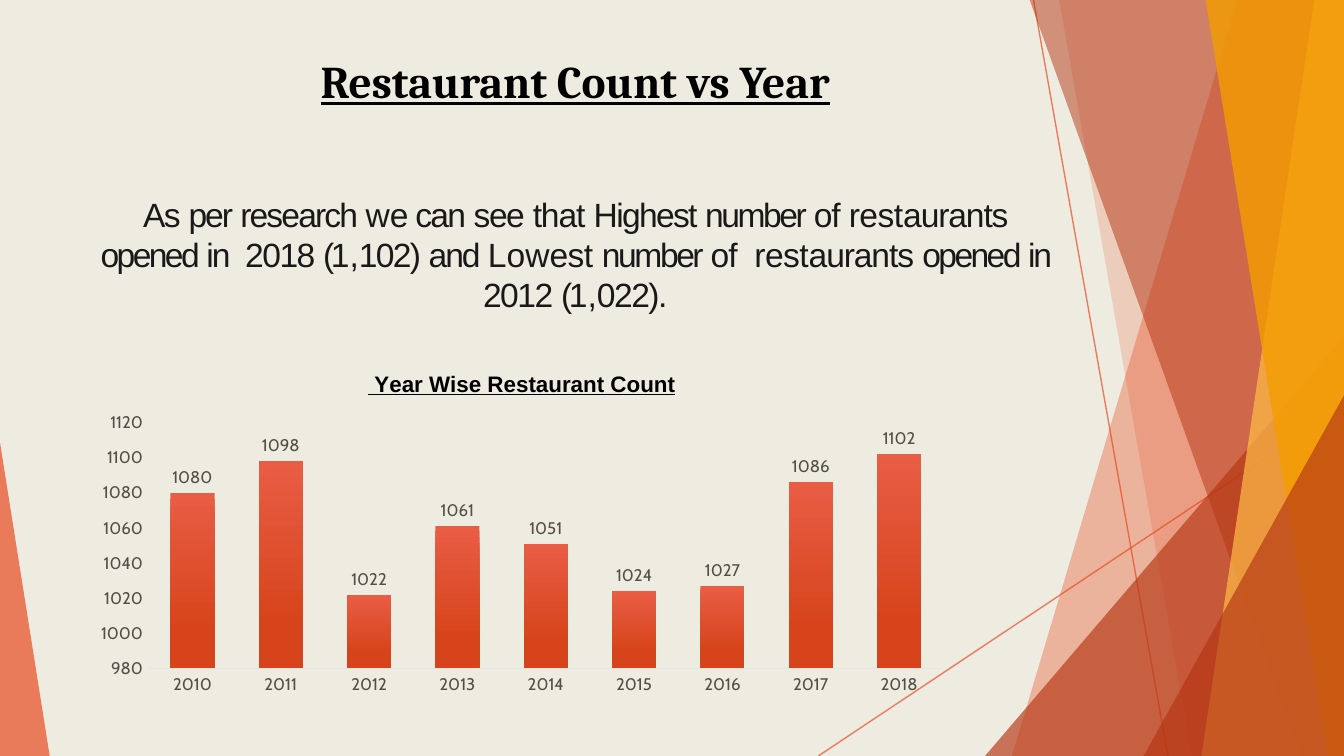
from lxml.etree import SubElement
from pptx import Presentation
from pptx.chart.data import CategoryChartData
from pptx.dml.color import RGBColor as RGB
from pptx.enum.chart import XL_CHART_TYPE as CHART, XL_LABEL_POSITION as LABEL, XL_TICK_MARK as TICK
from pptx.enum.shapes import MSO_CONNECTOR as LINK, MSO_SHAPE as SHAPE
from pptx.enum.text import MSO_ANCHOR as ANCHOR, PP_ALIGN as ALIGN
from pptx.oxml import parse_xml
from pptx.oxml.ns import nsdecls, qn
from pptx.util import Inches, Pt

THEME = {
    "paper": "EEECE1", "ember": "E84C22", "rust": "B53513", "sand": "FFBD47",
    "amber": "F49D00", "bar_top": "E95D45", "bar_base": "D7441C", "axis": "E6E6E2",
    "heading": dict(name="Cambria", size=Pt(24.3), bold=True, underline=True, color="000000"),
    "body": dict(name="Arial", size=Pt(18), bold=False, underline=False, color="191919"),
    "chart_title": dict(name="Arial", size=Pt(12), bold=True, underline=True, color="000000"),
    "chart": dict(name="Cabin", size=Pt(10), color="000000"),
    "label": dict(name="Cabin", size=Pt(9), bold=False, color="505046"),
}


def set_font(font, color, **values):
    for key, value in values.items():
        setattr(font, key, value)
    font.color.rgb = RGB.from_string(color)


def paint(fmt, color, opacity, element):
    """Give a fill or line format a solid colour at a percentage of opacity."""
    fmt.solid()
    fmt.fore_color.rgb = RGB.from_string(THEME[color])
    for clr in element.spPr.iter(qn("a:srgbClr")):
        SubElement(clr, qn("a:alpha"), val=str(opacity * 1000))


deck = Presentation()
deck.slide_width, deck.slide_height = Inches(10), Inches(10) * 9 // 16
# Grid of 1000 columns by 1000 rows
COL, ROW = deck.slide_width // 1000, deck.slide_height // 1000
slide = deck.slides.add_slide(deck.slide_layouts[6])
slide.background.fill.solid()
slide.background.fill.fore_color.rgb = RGB.from_string(THEME["paper"])
shapes = slide.shapes

# Thin rays behind the facets
for x1, y1, x2, y2 in [(769, 0, 869, 1000), (1000, 537, 609, 1000)]:
    ray = shapes.add_connector(LINK.STRAIGHT, x1 * COL, y1 * ROW, x2 * COL, y2 * ROW)
    ray.line.width = Pt(0.75)
    paint(ray.line.fill, "ember", 70, ray._element)
    SubElement(ray._element.spPr, qn("a:effectLst"))

# Bands run from a top and a bottom column to the right edge;
# wedges are left, top, width, height and apex side
facets = [
    ((921, 753), "ember", 36),
    ((788, 887), "ember", 20),
    ((733, 445, 267, 555, 1), "rust", 66),
    ((766, 968), "rust", 50),
    ((978, 894), "sand", 70),
    ((897, 988), "amber", 80),
    ((851, 523, 149, 477, 1), "rust", 66),
    ((0, 585, 37, 415, 0), "ember", 70),
]
for outline, color, opacity in facets:
    if len(outline) == 2:
        top, bottom = outline
        builder = shapes.build_freeform(top, -1, scale=(COL, ROW))
        builder.add_line_segments([(1000, -1), (1000, 1000), (bottom, 1000)])
        facet = builder.convert_to_shape()
    else:
        left, top, width, height, apex = outline
        facet = shapes.add_shape(SHAPE.ISOSCELES_TRIANGLE, left * COL, top * ROW,
                                 width * COL, height * ROW)
        facet.adjustments[0] = apex
    facet.shadow.inherit = False
    facet.line.fill.background()
    paint(facet.fill, color, opacity, facet._element)

# Heading and finding, with letter spacing in points for each piece
finding = [
    ("As ", -0.8), ("per ", -1.1), ("research ", -1), ("w", -1.1), ("e ", -1.4),
    ("can ", -0.9), ("see ", -0.8), ("that ", -0.6), ("Highest ", -0.9),
    ("number ", -1.3), ("of ", -0.6), ("rest", -0.3), ("aurants ", -0.6),
    ("opened ", -1.4), ("in  ", -1.1), ("2018 ", -0.8), ("(1", -1.9), (",", -2.1),
    ("102) ", -0.9), ("and ", -1.1), ("L", -0.9), ("o", -1.2), ("w", -1.1),
    ("est ", -0.3), ("number ", -1.3), ("of  ", -0.5), ("rest", -0.3),
    ("aurants ", -0.6), ("opened ", -1.4), ("in ", -1.2), ("2012 ", -0.8),
    ("(1", -1.9), (",", -1.8), ("022).", -0.8),
]
message = shapes.add_textbox(62 * COL, 53 * ROW, 732 * COL, 342 * ROW).text_frame
message.word_wrap = True
message.vertical_anchor = ANCHOR.TOP
for side in ("left", "top", "right", "bottom"):
    setattr(message, f"margin_{side}", Inches(0.1))
heading, body = message.paragraphs[0], message.add_paragraph()
heading.alignment = body.alignment = ALIGN.CENTER
heading.space_after = Pt(46)
title = heading.add_run()
title.text = "Restaurant Count vs Year"
set_font(title.font, **THEME["heading"])
for words, spacing in finding:
    piece = body.add_run()
    piece.text = words
    set_font(piece.font, **THEME["body"])
    piece._r.get_or_add_rPr().set("spc", str(round(spacing * 100)))

# Yearly counts
counts = CategoryChartData()
counts.categories = [str(year) for year in range(2010, 2019)]
counts.add_series("Series 1", (1080, 1098, 1022, 1061, 1051, 1024, 1027, 1086, 1102))
chart = shapes.add_chart(CHART.COLUMN_CLUSTERED, 62 * COL, 456 * ROW,
                         653 * COL, 473 * ROW, counts).chart
chart.has_legend = False
set_font(chart.font, **THEME["chart"])
caption = chart.chart_title.text_frame.paragraphs[0].add_run()
caption.text = " Year Wise Restaurant Count"
set_font(caption.font, **THEME["chart_title"])

years, scale = chart.category_axis, chart.value_axis
for axis in (years, scale):
    axis.has_major_gridlines = False
    axis.major_tick_mark = axis.minor_tick_mark = TICK.NONE
    set_font(axis.tick_labels.font, **THEME["label"])
years.format.line.width = Pt(0.75)
years.format.line.color.rgb = RGB.from_string(THEME["axis"])
scale.format.line.fill.background()
for key, value in dict(minimum_scale=980, maximum_scale=1120, major_unit=20).items():
    setattr(scale, key, value)

plot = chart.plots[0]
for key, value in dict(gap_width=100, overlap=-24, vary_by_categories=False,
                       has_data_labels=True).items():
    setattr(plot, key, value)
plot.data_labels.show_value = True
plot.data_labels.position = LABEL.OUTSIDE_END
set_font(plot.data_labels.font, **THEME["label"])
bars = plot.series[0].format.fill
bars.gradient()
bars.gradient_angle = 270
for stop, color, position in zip(bars.gradient_stops, ("bar_top", "bar_base"), (0, 0.78)):
    stop.color.rgb = RGB.from_string(THEME[color])
    stop.position = position

# Fixed places of the caption and the plot, in thousandths of the chart
plot_area = chart._chartSpace.chart.plotArea
placements = [
    (chart.chart_title._element, 1, dict(x=320, y=60)),
    (plot_area, 0, dict(x=74, y=217, w=906, h=689)),
]
for part, index, shares in placements:
    for old in part.findall(qn("c:layout")):
        part.remove(old)
    layout = parse_xml(f"<c:layout {nsdecls('c')}/>")
    manual = SubElement(layout, qn("c:manualLayout"))
    if part is plot_area:
        SubElement(manual, qn("c:layoutTarget"), val="inner")
    for mode in ("xMode", "yMode"):
        SubElement(manual, qn(f"c:{mode}"), val="edge")
    for key, share in shares.items():
        SubElement(manual, qn(f"c:{key}"), val=str(share / 1000))
    part.insert(index, layout)

deck.save("out.pptx")
